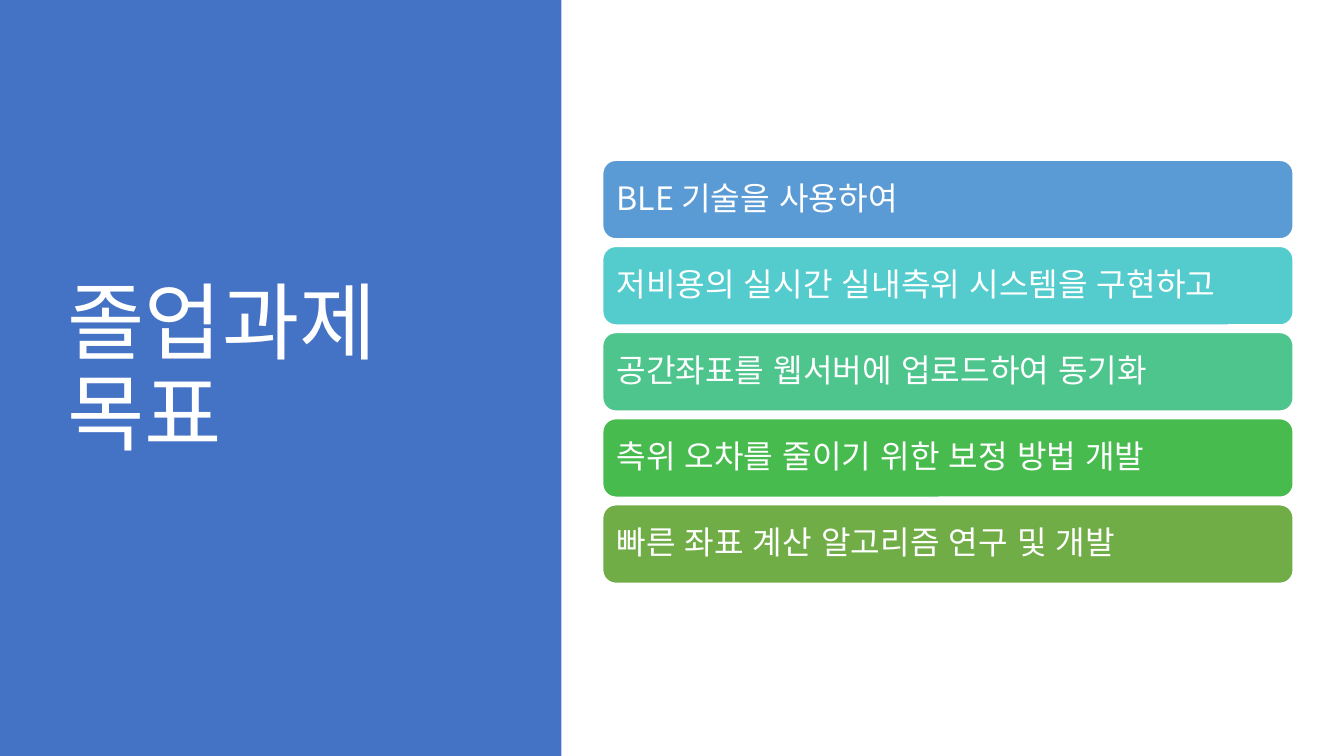
from dataclasses import dataclass

from lxml import etree
from pptx import Presentation
from pptx.dml.color import RGBColor
from pptx.enum import lang, shapes, text
from pptx.oxml import ns
from pptx.util import Cm, Pt


@dataclass(frozen=True)
class Theme:
    font: str = "Noto Sans CJK KR"
    light: str = "FFFFFF"
    panel: str = "4472C4"
    title_size: int = 60
    goal_size: int = 23


THEME = Theme()
GOALS = [
    ("BLE 기술을 사용하여", "5B9BD5"),
    ("저비용의 실시간 실내측위 시스템을 구현하고", "54CCCD"),
    ("공간좌표를 웹서버에 업로드하여 동기화", "4DC58D"),
    ("측위 오차를 줄이기 위한 보정 방법 개발", "48BB4F"),
    ("빠른 좌표 계산 알고리즘 연구 및 개발", "70AD47"),
]
GOAL_TOP = 4.04
GOAL_PITCH = 2.17


def write(box, words, size):
    frame = box.text_frame
    frame.text = words
    frame.word_wrap = True
    frame.auto_size = text.MSO_AUTO_SIZE.NONE
    frame.vertical_anchor = text.MSO_ANCHOR.MIDDLE
    para = frame.paragraphs[0]
    para.alignment = text.PP_ALIGN.LEFT
    para.line_spacing = 0.9
    for span in para.runs:
        font = span.font
        font.name = THEME.font
        font.size = Pt(size)
        font.color.rgb = RGBColor.from_string(THEME.light)
        font.language_id = lang.MSO_LANGUAGE_ID.KOREAN
        latin = font._element.find(ns.qn("a:latin"))
        east_asian = etree.Element(ns.qn("a:ea"), typeface=THEME.font)
        latin.addnext(east_asian)


def add_block(page, kind, left, top, width, height, color):
    block = page.shapes.add_shape(kind, Cm(left), Cm(top), Cm(width), Cm(height))
    block.shadow.inherit = False
    block.fill.solid()
    block.fill.fore_color.rgb = RGBColor.from_string(color)
    block.line.fill.background()
    return block


def add_panel(page, width, height):
    panel = add_block(page, shapes.MSO_SHAPE.RECTANGLE, 0, 0, width, height, THEME.panel)
    page.shapes.title._element.addprevious(panel._element)


def set_title(page, words):
    title = page.shapes.title
    title.left, title.top = Cm(1.45), Cm(1.73)
    title.width, title.height = Cm(10.57), Cm(15.29)
    write(title, words, THEME.title_size)


def add_goal(page, top, words, color):
    goal = add_block(page, shapes.MSO_SHAPE.ROUNDED_RECTANGLE, 15.19, top, 17.4, 1.98, color)
    goal.line.color.rgb = RGBColor.from_string(THEME.light)
    goal.line.width = Pt(1)
    frame = goal.text_frame
    frame.margin_left = frame.margin_right = Cm(0.25)
    write(goal, words, THEME.goal_size)


def main():
    deck = Presentation()
    deck.slide_width, deck.slide_height = Cm(33.87), Cm(19.05)
    page = deck.slides.add_slide(deck.slide_layouts.get_by_name("Title Only"))
    add_panel(page, 14.15, 19.05)
    set_title(page, "졸업과제 목표")
    for row, (words, color) in enumerate(GOALS):
        add_goal(page, GOAL_TOP + row * GOAL_PITCH, words, color)
    deck.save("out.pptx")


if __name__ == "__main__":
    main()
